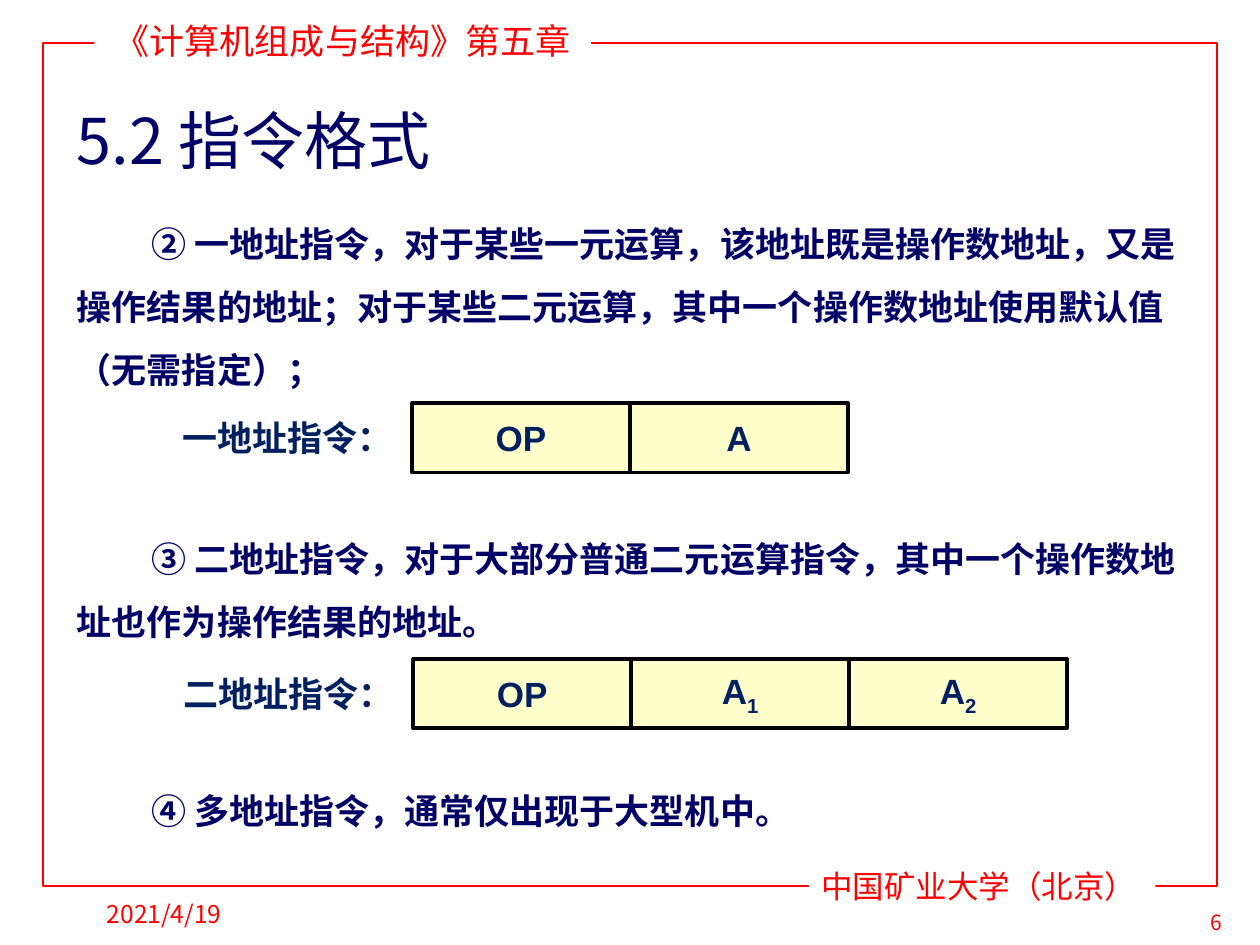
from lxml.etree import SubElement
from pptx import Presentation
from pptx.dml.color import RGBColor
from pptx.enum.shapes import MSO_SHAPE
from pptx.enum.text import MSO_ANCHOR, PP_ALIGN
from pptx.oxml.ns import qn
from pptx.util import Inches, Pt

CJK = "Noto Sans CJK SC"
RED, NAVY, INK, CREAM, WHITE, BLACK = "FF0000", "000066", "002060", "FFFFCC", "FFFFFF", "000000"
CELL_WIDTH, CELL_HEIGHT, LABEL_WIDTH = 1.73, 0.55, 1.96
CELL_FONT = dict(size=Pt(20), name="Arial", bold=True)


def color(hex_value):
    return RGBColor.from_string(hex_value)


class InstructionSlide:
    def __init__(self, slide):
        self.slide = slide

    def place(self, shape, left, top, width, height):
        box = dict(left=left, top=top, width=width, height=height)
        for side, value in box.items():
            setattr(shape, side, Inches(value))

    def style(self, run, font_color, baseline=None, **font):
        for key, value in font.items():
            setattr(run.font, key, value)
        run.font.color.rgb = color(font_color)
        SubElement(run.font._element, qn("a:ea")).set("typeface", CJK)
        if baseline:
            run.font._element.set("baseline", str(baseline))

    def label(self, shape, text, font_color, align=PP_ALIGN.CENTER, subscript="", **font):
        """Fill a shape with one line of text and an optional subscript."""
        frame = shape.text_frame
        frame.word_wrap = True
        frame.vertical_anchor = MSO_ANCHOR.MIDDLE
        line = frame.paragraphs[0]
        line.alignment = align
        for part, baseline in ((text, None), (subscript, -25000)):
            if part:
                run = line.add_run()
                run.text = part
                self.style(run, font_color, baseline, **font)

    def rect(self, box, fill=None, outline=None, weight=1):
        shape = self.slide.shapes.add_shape(MSO_SHAPE.RECTANGLE, *map(Inches, box))
        shape.shadow.inherit = False
        if fill:
            shape.fill.solid()
            shape.fill.fore_color.rgb = color(fill)
        else:
            shape.fill.background()
        if outline:
            shape.line.color.rgb = color(outline)
            shape.line.width = Pt(weight)
        else:
            shape.line.fill.background()
        return shape

    def margin_text(self, box, text, size, align=PP_ALIGN.CENTER, fill=None):
        """Set red running text on the border of the page."""
        self.label(self.rect(box, fill), text, RED, align, size=Pt(size), name=CJK)

    def title(self, text, box):
        heading = self.slide.shapes.title
        self.place(heading, *box)
        self.label(heading, text, NAVY, PP_ALIGN.LEFT, size=Pt(36), name=CJK, bold=False)

    def body(self, paragraphs, box):
        """Fill the body, leaving a gap for a format diagram between paragraphs."""
        holder = self.slide.placeholders[1]
        self.place(holder, *box)
        frame = holder.text_frame
        frame.word_wrap = True
        frame.vertical_anchor = MSO_ANCHOR.TOP
        for index, text in enumerate(paragraphs):
            item = frame.add_paragraph() if index else frame.paragraphs[0]
            layout = dict(alignment=PP_ALIGN.LEFT, line_spacing=Pt(36),
                          space_before=Pt(72 if index else 0))
            for key, value in layout.items():
                setattr(item, key, value)
            properties = item._p.get_or_add_pPr()
            properties.set("marL", "0")
            properties.set("indent", str(Inches(0.59)))
            run = item.add_run()
            run.text = text
            self.style(run, NAVY, **CELL_FONT)

    def instruction_format(self, left, top, caption, fields):
        caption_box = self.rect((left, top, LABEL_WIDTH, CELL_HEIGHT), WHITE, WHITE, 2)
        self.label(caption_box, caption, INK, **{**CELL_FONT, "name": CJK})
        for column, (field, subscript) in enumerate(fields):
            cell_left = left + LABEL_WIDTH + 0.01 + column * CELL_WIDTH
            cell = self.rect((cell_left, top, CELL_WIDTH, CELL_HEIGHT), CREAM, BLACK, 2)
            self.label(cell, field, INK, subscript=subscript, **CELL_FONT)


def main():
    deck = Presentation()
    deck.slide_width, deck.slide_height = Inches(10), Inches(7.5)
    page = InstructionSlide(deck.slides.add_slide(deck.slide_layouts[0]))

    page.rect((0.34, 0.34, 9.32, 6.69), outline=RED)
    page.margin_text((0.75, 0.1, 3.94, 0.44), "《计算机组成与结构》第五章", 20, fill=WHITE)
    page.margin_text((6.42, 6.83, 2.75, 0.4), "中国矿业大学（北京）", 18, PP_ALIGN.LEFT, WHITE)
    page.margin_text((0.75, 7, 2.08, 0.5), "2021/4/19", 14, PP_ALIGN.LEFT)
    page.margin_text((9.33, 7.17, 0.65, 0.3), "6", 12)

    page.title("5.2 指令格式", (0.51, 0.75, 9.06, 0.71))
    page.body([
        "② 一地址指令，对于某些一元运算，该地址既是操作数地址，又是操作结果的地址；"
        "对于某些二元运算，其中一个操作数地址使用默认值（无需指定）；",
        "③ 二地址指令，对于大部分普通二元运算指令，其中一个操作数地址也作为操作结果的地址。",
        "④ 多地址指令，通常仅出现于大型机中。",
    ], (0.51, 1.55, 9.06, 5.39))
    page.instruction_format(1.3, 3.2, "一地址指令：", [("OP", ""), ("A", "")])
    page.instruction_format(1.31, 5.23, "二地址指令：", [("OP", ""), ("A", "1"), ("A", "2")])

    deck.save("out.pptx")


if __name__ == "__main__":
    main()
